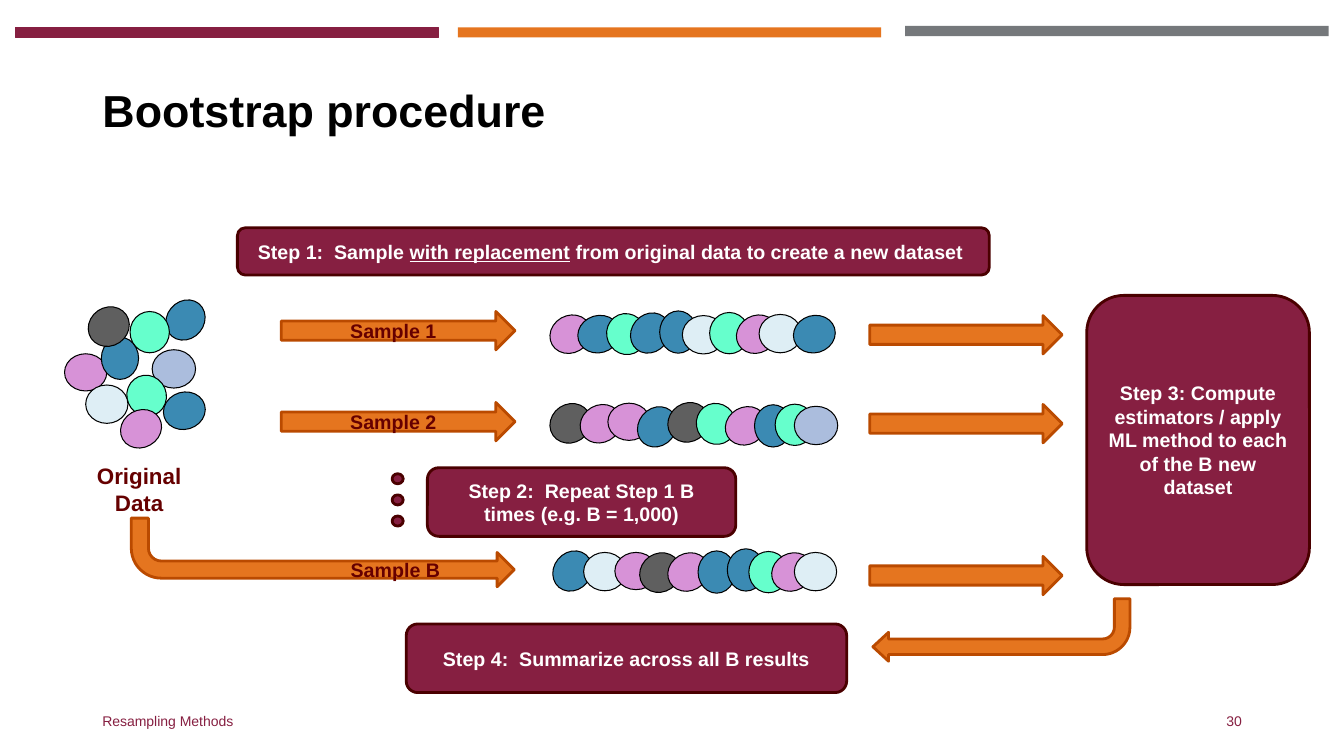
import pptx
import pptx.util
import pptx.dml.color
import pptx.enum.shapes
import pptx.enum.text

Pt = pptx.util.Pt
Preset = pptx.enum.shapes.MSO_SHAPE
Align = pptx.enum.text.PP_ALIGN
Anchor = pptx.enum.text.MSO_ANCHOR

MAROON, DARK_MAROON, TEXT_MAROON = "861F41", "4A0000", "660000"
ORANGE, DARK_ORANGE, GRAY = "E5751F", "BA4A00", "75787B"
BLACK, WHITE = "000000", "FFFFFF"

BEADS = {
    "lavender": ("ABBDDD", 31, 27.4),
    "violet": ("D792D7", 30.2, 26.6),
    "mint": ("66FFCC", 29.5, 28.1),
    "blue": ("3B8AB3", 30.2, 26.6),
    "charcoal": ("5F5F5F", 30.2, 27.4),
    "ice": ("DEEEF5", 30.2, 27.4),
}
ORIGINAL_DATA = [
    ("lavender", 108.7, 249.8, 0), ("violet", 46.1, 252.7, 0),
    ("mint", 90, 268.6, 247.3), ("blue", 70.6, 242.6, 90),
    ("charcoal", 62.6, 219.6, 325.7), ("ice", 61.2, 275, 0),
    ("blue", 117.4, 215.3, 309.6), ("violet", 85.7, 293, 330.1),
    ("mint", 92.2, 223.2, 270), ("blue", 116.6, 280.1, 343.5),
]
SAMPLE_1 = [
    ("violet", 392.4, 225.4, 330.1), ("blue", 412.6, 225.4, 343.5),
    ("mint", 432.7, 224.6, 247.3), ("blue", 449.3, 224.6, 309.6),
    ("blue", 469.4, 223.9, 90), ("ice", 487.4, 225.4, 0),
    ("mint", 506.2, 223.9, 270), ("violet", 525.6, 225.4, 330.1),
    ("ice", 542.2, 224.6, 0), ("blue", 566.6, 225.4, 343.5),
]
SAMPLE_2 = [
    ("charcoal", 392.4, 288.7, 325.7), ("violet", 414, 289.4, 330.1),
    ("violet", 434.2, 288, 0), ("blue", 454.3, 291.6, 309.6),
    ("charcoal", 476.6, 288, 325.7), ("mint", 496.8, 288.7, 247.3),
    ("violet", 517.7, 290.9, 330.1), ("blue", 537.1, 290.9, 90),
    ("mint", 553, 289.4, 270), ("lavender", 567.4, 290.2, 0),
]
SAMPLE_B = [
    ("blue", 393.8, 394.6, 309.6), ("ice", 416.9, 394.6, 0),
    ("violet", 439.2, 394.6, 0), ("charcoal", 456.5, 395.3, 325.7),
    ("violet", 476.6, 395.3, 330.1), ("blue", 496.8, 395.3, 90),
    ("blue", 517.7, 393.8, 90), ("mint", 534.2, 394.6, 270),
    ("violet", 550.8, 395.3, 330.1), ("ice", 567.4, 394.6, 0),
]


def color(value):
    return pptx.dml.color.RGBColor.from_string(value)


def write(shape, runs, size, text_color, bold=True, align=Align.CENTER, anchor=Anchor.MIDDLE):
    frame = shape.text_frame
    frame.word_wrap = True
    frame.auto_size = pptx.enum.text.MSO_AUTO_SIZE.NONE
    frame.vertical_anchor = anchor
    paragraph = frame.paragraphs[0]
    paragraph.alignment = align
    for text, underline in runs:
        run = paragraph.add_run()
        run.text = text
        run.font.name = "Arial"
        run.font.size = Pt(size)
        run.font.bold = bold
        run.font.underline = underline
        run.font.color.rgb = color(text_color)
    return paragraph


def add_shape(slide, preset, box, fill, line=None, line_width=2.0, adjustments=(), rotation=0):
    shape = slide.shapes.add_shape(preset, *map(Pt, box))
    shape.shadow.inherit = False
    shape.fill.solid()
    shape.fill.fore_color.rgb = color(fill)
    if line:
        shape.line.color.rgb = color(line)
        shape.line.width = Pt(line_width)
    else:
        shape.line.fill.background()
    for index, value in enumerate(adjustments):
        shape.adjustments[index] = value
    shape.rotation = rotation
    return shape


def add_label(slide, box, text, size, text_color, **options):
    label = slide.shapes.add_textbox(*map(Pt, box))
    write(label, [(text, None)], size, text_color, **options)


def add_step(slide, box, *runs):
    step = add_shape(slide, Preset.ROUNDED_RECTANGLE, box, MAROON, DARK_MAROON, adjustments=[0.167])
    write(step, runs, 14, WHITE)


def add_arrow(slide, left, top, width, text=None):
    arrow = add_shape(slide, Preset.RIGHT_ARROW, (left, top, width, 27.4), ORANGE, DARK_ORANGE)
    if text:
        write(arrow, [(text, None)], 14, TEXT_MAROON)


def add_bent_arrow(slide, box, head, mirrored=False):
    arrow = add_shape(slide, Preset.BENT_ARROW, box, ORANGE, DARK_ORANGE,
                      adjustments=[0.25, head, 0.25, 0.438], rotation=180)
    if mirrored:
        arrow._element.spPr.xfrm.set("flipH", "1")


def add_beads(slide, beads):
    for kind, left, top, rotation in beads:
        fill, width, height = BEADS[kind]
        add_shape(slide, Preset.OVAL, (left, top, width, height), fill, BLACK, 0.75, rotation=rotation)


def add_title(slide, text):
    title = slide.shapes.title
    title.left, title.top, title.width, title.height = map(Pt, (66, 28.8, 828, 104.4))
    paragraph = write(title, [(text, None)], 32, BLACK, align=Align.LEFT)
    paragraph.line_spacing = 0.9


def main():
    presentation = pptx.Presentation()
    presentation.slide_width = Pt(960)
    presentation.slide_height = Pt(540)
    slide = presentation.slides.add_slide(presentation.slide_layouts[5])

    add_shape(slide, Preset.RECTANGLE, (10.8, 19.5, 302.4, 7.2), MAROON, MAROON, 0.75)
    add_shape(slide, Preset.RECTANGLE, (646.6, 18.6, 302.4, 7.2), GRAY)
    add_shape(slide, Preset.RECTANGLE, (327, 19.5, 302.4, 7.2), ORANGE)
    add_title(slide, "Bootstrap procedure")
    add_label(slide, (66, 500.4, 324, 28.8), "Resampling Methods", 10, MAROON,
              bold=False, align=Align.LEFT)

    add_beads(slide, ORIGINAL_DATA)
    add_arrow(slide, 200.9, 222.5, 167, "Sample 1")
    add_arrow(slide, 200.9, 287.5, 167, "Sample 2")
    add_bent_arrow(slide, (93.8, 370.1, 273.6, 49), 0.25, mirrored=True)
    add_label(slide, (46.1, 326.9, 106.6, 46.1), "Original Data", 16, TEXT_MAROON, anchor=Anchor.TOP)
    for index in range(3):
        add_shape(slide, Preset.FLOWCHART_CONNECTOR, (280.1, 338.4 + 15.1 * index, 7.9, 7.2),
                  MAROON, DARK_MAROON)

    for sample in (SAMPLE_1, SAMPLE_2, SAMPLE_B):
        add_beads(slide, sample)
    for top in (225.4, 288.9, 397.4):
        add_arrow(slide, 621.2, top, 137.5)

    add_step(slide, (169.6, 162.7, 537.1, 33.8), ("Step 1:  Sample ", None),
             ("with replacement", True), (" from original data to create a new dataset ", False))
    add_label(slide, (243.4, 395.3, 84.2, 24.5), "Sample B", 14, TEXT_MAROON,
              align=Align.LEFT, anchor=Anchor.TOP)
    add_step(slide, (776.2, 211, 159.1, 206.6),
             ("Step 3: Compute estimators / apply ML method to each of the B new dataset", None))
    add_step(slide, (305.3, 334.1, 220.3, 49),
             ("Step 2:  Repeat Step 1 B times (e.g. B = 1,000)", None))
    add_bent_arrow(slide, (623.5, 427.7, 183.6, 44.6), 0.232)
    add_step(slide, (290.2, 445.7, 314.6, 49), ("Step 4:  Summarize across all B results", None))
    add_label(slide, (678.2, 500.4, 216, 28.8), "30", 10, MAROON, bold=False, align=Align.RIGHT)

    presentation.save("out.pptx")


if __name__ == "__main__":
    main()
